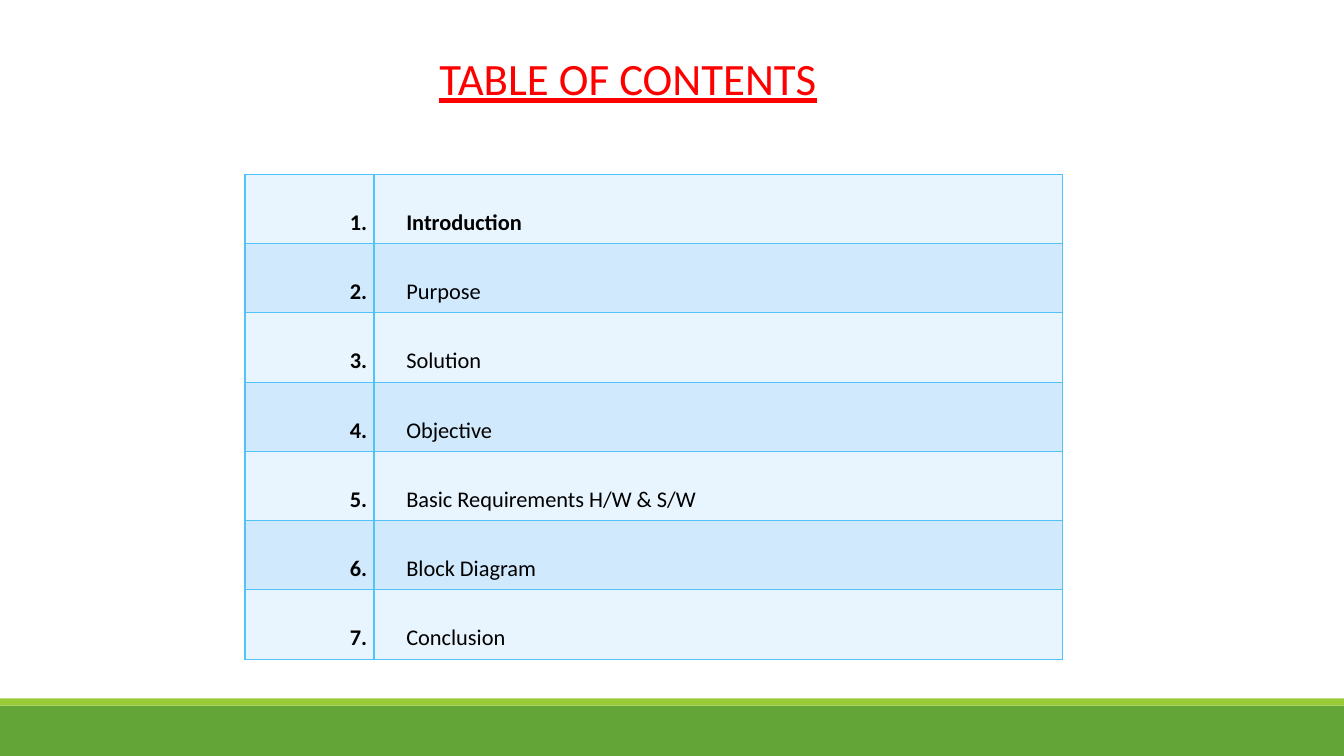
import pptx
import pptx.util
import pptx.dml.color
import pptx.enum.shapes
import pptx.enum.text
import pptx.oxml
import pptx.oxml.ns

Inches = pptx.util.Inches
Pt = pptx.util.Pt
ALIGN = pptx.enum.text.PP_ALIGN
ANCHOR = pptx.enum.text.MSO_ANCHOR

FONT = "Calibri"
COLORS = {
    "title": "FF0000",
    "text": "000000",
    "odd_row": "E9F5FE",
    "even_row": "D0E9FD",
    "border": "51C3F9",
    "footer": "63A537",
    "footer_edge": "99CB38",
}
TOPICS = [
    "Introduction",
    "Purpose",
    "Solution",
    "Objective",
    "Basic Requirements H/W & S/W",
    "Block Diagram",
    "Conclusion",
]


def color(name):
    return pptx.dml.color.RGBColor.from_string(COLORS[name])


def write(paragraph, text, size, color_name, align, spacing, after):
    """Format a paragraph and add its single run; return the run's font."""
    paragraph.alignment = align
    paragraph.line_spacing = spacing
    paragraph.space_before = Pt(0)
    paragraph.space_after = Pt(after)
    run = paragraph.add_run()
    run.text = text
    run.font.name = FONT
    run.font.size = Pt(size)
    run.font.color.rgb = color(color_name)
    return run.font


def add_band(slide, top, height, color_name):
    band = slide.shapes.add_shape(
        pptx.enum.shapes.MSO_SHAPE.RECTANGLE,
        Inches(0), Inches(top), Inches(13.33), Inches(height))
    band.shadow.inherit = False
    band.fill.solid()
    band.fill.fore_color.rgb = color(color_name)
    band.line.fill.background()


def set_title(slide, text):
    heading = slide.shapes.title
    heading.left, heading.top = Inches(3.91), Inches(0.42)
    heading.width, heading.height = Inches(4.64), Inches(0.65)
    frame = heading.text_frame
    frame.auto_size = pptx.enum.text.MSO_AUTO_SIZE.NONE
    frame.vertical_anchor = ANCHOR.TOP
    font = write(frame.paragraphs[0], text, 32, "title", ALIGN.CENTER, 1.07, 8)
    font.underline = True


def add_borders(cell):
    properties = cell._tc.get_or_add_tcPr()
    for position, side in enumerate(("lnL", "lnR", "lnT", "lnB")):
        border = pptx.oxml.parse_xml(
            f'<a:{side} {pptx.oxml.ns.nsdecls("a")} w="{Pt(1)}"><a:solidFill>'
            f'<a:srgbClr val="{COLORS["border"]}"/></a:solidFill></a:{side}>')
        properties.insert(position, border)


def fill_cell(cell, text, fill_name, align, indent, bold):
    cell.fill.solid()
    cell.fill.fore_color.rgb = color(fill_name)
    add_borders(cell)
    cell.vertical_anchor = ANCHOR.MIDDLE
    cell.margin_left, cell.margin_right = Inches(indent), Inches(0.07)
    cell.margin_top = cell.margin_bottom = Inches(0)
    paragraph = cell.text_frame.paragraphs[0]
    write(paragraph, text, 16, "text", align, 2, 10).bold = bold


def add_contents(slide, topics):
    contents = slide.shapes.add_table(
        len(topics), 2, Inches(2.43), Inches(1.73),
        Inches(8.11), Inches(4.81)).table
    contents.first_row = contents.horz_banding = False
    for column, width in zip(contents.columns, (1.28, 6.83)):
        column.width = Inches(width)
    for index, topic in enumerate(topics):
        fill_name = "even_row" if index % 2 else "odd_row"
        fill_cell(contents.cell(index, 0), f"{index + 1}.", fill_name,
                  ALIGN.RIGHT, 0.07, True)
        fill_cell(contents.cell(index, 1), topic, fill_name,
                  ALIGN.LEFT, 0.32, index == 0)


def main():
    deck = pptx.Presentation()
    deck.slide_width, deck.slide_height = Inches(13.33), Inches(7.5)
    slide = deck.slides.add_slide(deck.slide_layouts[5])

    # Footer bands
    add_band(slide, 7, 0.5, "footer")
    add_band(slide, 6.93, 0.07, "footer_edge")

    # Title and numbered topics
    set_title(slide, "TABLE OF CONTENTS")
    add_contents(slide, TOPICS)

    deck.save("out.pptx")


if __name__ == "__main__":
    main()
